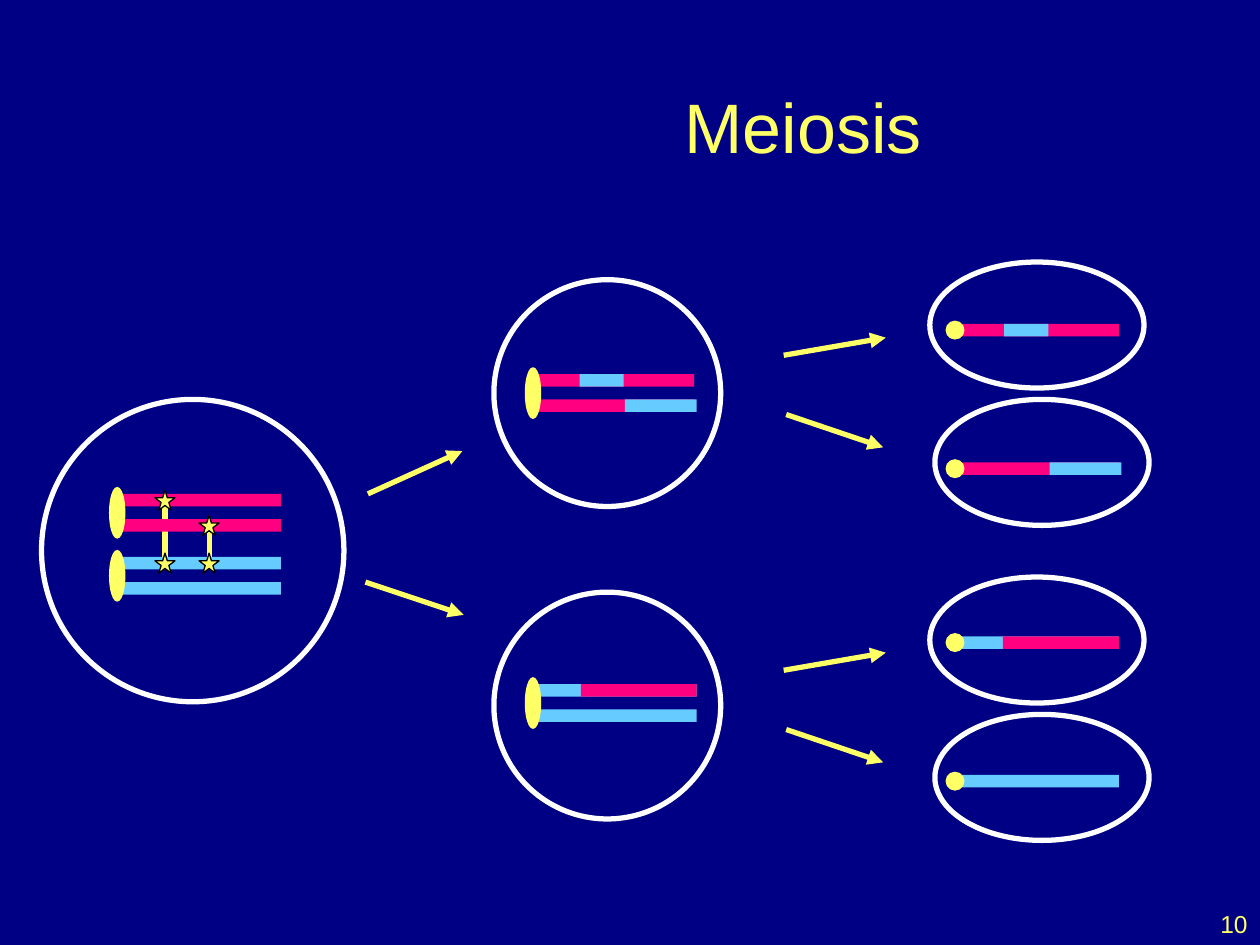
from lxml import etree
from pptx import Presentation
from pptx.dml.color import RGBColor
from pptx.enum.shapes import MSO_CONNECTOR, MSO_SHAPE
from pptx.enum.text import MSO_ANCHOR, PP_ALIGN
from pptx.oxml.ns import qn
from pptx.util import Inches, Pt

RECT, OVAL, STAR = MSO_SHAPE.RECTANGLE, MSO_SHAPE.OVAL, MSO_SHAPE.STAR_5_POINT
STRAIGHT = MSO_CONNECTOR.STRAIGHT
MIDDLE, BOTTOM = MSO_ANCHOR.MIDDLE, MSO_ANCHOR.BOTTOM
CENTER, RIGHT = PP_ALIGN.CENTER, PP_ALIGN.RIGHT

NAVY, YELLOW, WHITE, BLACK = "000085", "FFFF66", "FFFFFF", "000000"
PINK, BLUE = "FE0080", "66CCFF"
STRAND_LENGTH, STRAND_HEIGHT = 1.3, 0.1


def color(hex_string):
    return RGBColor.from_string(hex_string)


def add_shape(page, kind, left, top, width, height, fill=None, line=None, weight=0.75):
    shape = page.shapes.add_shape(
        kind, Inches(left), Inches(top), Inches(width), Inches(height))
    shape.shadow.inherit = False
    if fill:
        shape.fill.solid()
        shape.fill.fore_color.rgb = color(fill)
    else:
        shape.fill.background()
    if line:
        shape.line.color.rgb = color(line)
        shape.line.width = Pt(weight)
    else:
        shape.line.fill.background()


def add_cell(page, left, top, width, height):
    add_shape(page, OVAL, left, top, width, height, line=WHITE, weight=3)


def add_strand(page, left, top, base, swap=None):
    """Draw a chromatid; swap is (offset, length, colour) of a crossed-over part."""
    add_shape(page, RECT, left, top, STRAND_LENGTH, STRAND_HEIGHT, base)
    if swap:
        offset, length, fill = swap
        add_shape(page, RECT, left + offset, top, length, STRAND_HEIGHT, fill)


def add_centromere(page, left, top, width=0.12, height=0.4):
    add_shape(page, OVAL, left, top, width, height, YELLOW, YELLOW)


def add_line(page, start, end, arrow=False):
    points = [Inches(value) for value in (*start, *end)]
    line = page.shapes.add_connector(STRAIGHT, *points)
    line.line.color.rgb = color(YELLOW)
    line.line.width = Pt(3)
    if arrow:
        etree.SubElement(line.line._get_or_add_ln(), qn("a:tailEnd"), type="triangle")
    etree.SubElement(line._element.spPr, qn("a:effectLst"))


def set_text(box, text, size, align, anchor):
    frame = box.text_frame
    frame.text = text
    frame.word_wrap = True
    frame.vertical_anchor = anchor
    para = frame.paragraphs[0]
    para.alignment = align
    font = para.runs[0].font
    font.name, font.size = "Arial", Pt(size)
    font.color.rgb = color(YELLOW)


def add_title(page, text):
    title = page.shapes.title
    title.left, title.top = Inches(3), Inches(0.25)
    title.width, title.height = Inches(6.75), Inches(1.5)
    set_text(title, text, 40, CENTER, MIDDLE)


def add_page_number(page, text):
    box = page.shapes.add_textbox(Inches(7.92), Inches(7), Inches(2.08), Inches(0.5))
    set_text(box, text, 14, RIGHT, BOTTOM)


def add_parent_cell(page):
    # Crossover links lie behind the strands, their stars in front
    links = [(1.31, 3.97, 4.47), (1.66, 4.17, 4.47)]
    for x, top, bottom in links:
        add_line(page, (x, top), (x, bottom))
    for top, fill in [(3.92, PINK), (4.42, BLUE)]:
        add_strand(page, 0.93, top, fill)
        add_strand(page, 0.93, top + 0.2, fill)
        add_centromere(page, 0.87, top - 0.05)
    for x, *ends in links:
        for y in ends:
            add_shape(page, STAR, x - 0.08, y - 0.08, 0.16, 0.16, YELLOW, BLACK)
    add_cell(page, 0.33, 3.17, 2.4, 2.4)


def add_daughter_cell(page, cell_top, left, top, upper, lower):
    add_cell(page, 3.92, cell_top, 1.8, 1.8)
    add_strand(page, left, top, *upper)
    add_strand(page, left, top + 0.2, *lower)
    add_centromere(page, 4.17, top - 0.05)


def add_gamete(page, left, cell_top, top, chromatid):
    add_strand(page, 7.58, top, *chromatid)
    add_cell(page, left, cell_top, 1.7, 1)
    add_centromere(page, 7.51, top - 0.02, 0.14, 0.14)


def main():
    deck = Presentation()
    deck.slide_width, deck.slide_height = Inches(10), Inches(7.5)
    page = deck.slides.add_slide(deck.slide_layouts[5])
    page.background.fill.solid()
    page.background.fill.fore_color.rgb = color(NAVY)
    add_title(page, "Meiosis")

    # The four chromatids after crossing over
    pink_middle = (PINK, (0.39, 0.35, BLUE))
    pink_end = (PINK, (0.75, 0.57, BLUE))
    blue_end = (BLUE, (0.38, 0.92, PINK))
    blue_whole = (BLUE,)

    # Cells, from left to right
    add_parent_cell(page)
    add_daughter_cell(page, 2.22, 4.21, 2.97, pink_middle, pink_end)
    add_daughter_cell(page, 4.7, 4.23, 5.43, blue_end, blue_whole)
    add_gamete(page, 7.38, 2.08, 2.57, pink_middle)
    add_gamete(page, 7.42, 3.17, 3.67, pink_end)
    add_gamete(page, 7.38, 4.58, 5.05, blue_end)
    add_gamete(page, 7.42, 5.67, 6.15, blue_whole)

    # Division arrows
    add_line(page, (2.92, 3.92), (3.67, 3.58), arrow=True)
    add_line(page, (2.9, 4.62), (3.68, 4.88), arrow=True)
    for drop in (0, 2.5):
        add_line(page, (6.22, 2.82 + drop), (7.03, 2.68 + drop), arrow=True)
        add_line(page, (6.24, 3.29 + drop), (7.01, 3.55 + drop), arrow=True)

    add_page_number(page, "10")
    deck.save("out.pptx")


if __name__ == "__main__":
    main()
